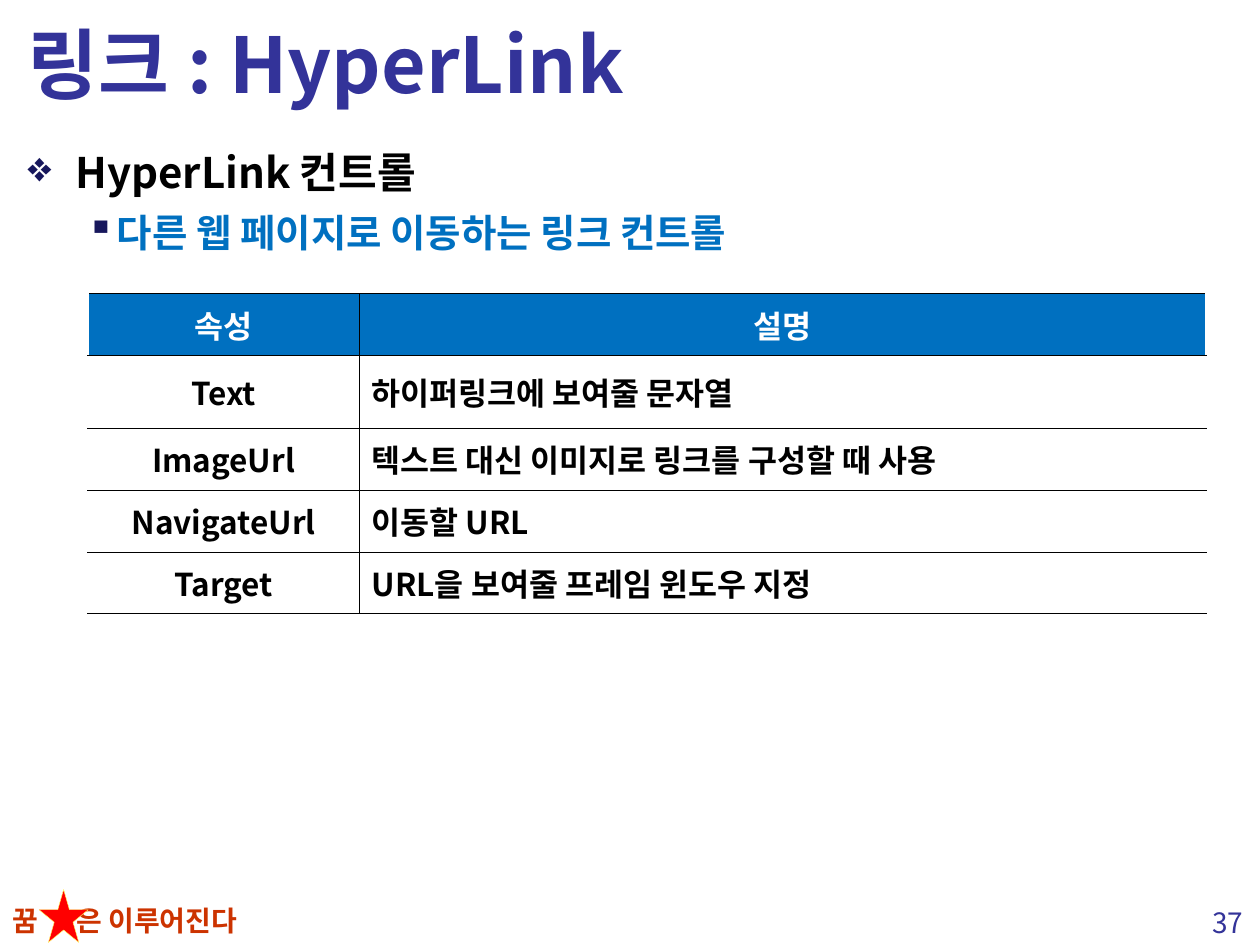
from lxml import etree
from pptx import Presentation
from pptx import util as u
from pptx.dml.color import RGBColor
from pptx.enum import shapes, text
from pptx.oxml import ns

FONT = "Noto Sans CJK KR"
COLORS = {
    "indigo": "333399", "blue": "0070C0", "bullet": "17175C",
    "black": "000000", "white": "FFFFFF", "motto": "CC3300",
    "star": "FF0000", "star_edge": "FFFF66",
}
COLUMN = u.Inches(10) / 100
ROW = u.Inches(7.5) / 75
CENTER = text.PP_ALIGN.CENTER
LEFT = text.PP_ALIGN.LEFT
MIDDLE = text.MSO_ANCHOR.MIDDLE

PROPERTIES = [
    ("속성", "설명"),
    ("Text", "하이퍼링크에 보여줄 문자열"),
    ("ImageUrl", "텍스트 대신 이미지로 링크를 구성할 때 사용"),
    ("NavigateUrl", "이동할 URL"),
    ("Target", "URL을 보여줄 프레임 윈도우 지정"),
]


def grid(left, top, width, height):
    return [u.Emu(round(n * unit)) for n, unit in
            zip((left, top, width, height), (COLUMN, ROW, COLUMN, ROW))]


def rgb(color):
    return RGBColor.from_string(COLORS[color])


def sub(parent, tag, **attributes):
    return etree.SubElement(parent, ns.qn(tag), attributes)


def write(paragraph, words, size, color, bold=True, align=LEFT):
    paragraph.alignment = align
    run = paragraph.add_run()
    run.text = words
    run.font.size = u.Pt(size)
    run.font.bold = bold
    run.font.color.rgb = rgb(color)
    run.font.name = FONT
    sub(run.font._element, "a:ea", typeface=FONT)


def text_area(slide, area, wrap=True):
    frame = slide.shapes.add_textbox(*grid(*area)).text_frame
    frame.word_wrap = wrap
    return frame


def add_title(slide, words):
    title = slide.shapes.title
    title.left, title.top, title.width, title.height = grid(1.2, 0.6, 97.6, 8.8)
    title.text_frame.vertical_anchor = MIDDLE
    write(title.text_frame.paragraphs[0], words, 44, "indigo")


def add_bullet(paragraph, words, mark, size, color, level, margin, hanging):
    paragraph.level = level
    paragraph.line_spacing = 1.1
    paragraph.space_before = u.Pt(size * 0.2)
    write(paragraph, words, size, color)
    properties = paragraph._p.get_or_add_pPr()
    properties.set("marL", str(u.Inches(margin)))
    properties.set("indent", str(-u.Inches(hanging)))
    sub(sub(properties, "a:buClr"), "a:srgbClr", val=COLORS["bullet"])
    sub(properties, "a:buChar", char=mark)


def add_outline(slide):
    frame = text_area(slide, (1.2, 10.7, 97.9, 60.4))
    add_bullet(frame.paragraphs[0], "HyperLink 컨트롤", "❖", 24, "black", 0, 0.38, 0.38)
    add_bullet(frame.add_paragraph(), "다른 웹 페이지로 이동하는 링크 컨트롤",
               "▪", 22, "blue", 1, 0.71, 0.24)


def set_borders(cell, outer_side):
    properties = cell._tc.get_or_add_tcPr()
    for position, side in enumerate("LRTB"):
        color, width = ("white", 1) if side == outer_side else ("black", 0.25)
        line = etree.Element(ns.qn(f"a:ln{side}"), w=str(u.Pt(width)))
        sub(sub(line, "a:solidFill"), "a:srgbClr", val=COLORS[color])
        properties.insert(position, line)


def fill_cell(cell, words, is_header, is_name):
    cell.vertical_anchor = MIDDLE
    if is_header:
        cell.fill.solid()
        cell.fill.fore_color.rgb = rgb("blue")
    else:
        cell.fill.background()
    write(cell.text_frame.paragraphs[0], words, 18,
          "white" if is_header else "black",
          align=CENTER if is_header or is_name else LEFT)
    set_borders(cell, "L" if is_name else "R")


def add_property_table(slide):
    table = slide.shapes.add_table(len(PROPERTIES), 2, *grid(7, 23.3, 88.7, 25.4)).table
    for column, share in zip(table.columns, (21.5, 67.2)):
        column.width = u.Emu(round(share * COLUMN))
    for index, (row, entries) in enumerate(zip(table.rows, PROPERTIES)):
        row.height = u.Emu(round((5.8 if index == 1 else 4.9) * ROW))
        for position, words in enumerate(entries):
            fill_cell(row.cells[position], words, index == 0, position == 0)


def add_footer(slide):
    motto = text_area(slide, (0, 71.2, 24.8, 3.7)).paragraphs[0]
    write(motto, "꿈\t은 이루어진다", 16, "motto")
    stops = sub(motto._p.get_or_add_pPr(), "a:tabLst")
    sub(stops, "a:tab", pos=str(u.Inches(0.51)), algn="l")

    star = slide.shapes.add_shape(shapes.MSO_SHAPE.STAR_5_POINT, *grid(3.1, 70.6, 3.9, 4.2))
    star.shadow.inherit = False
    star.fill.solid()
    star.fill.fore_color.rgb = rgb("star")
    star.line.color.rgb = rgb("star_edge")
    star.line.width = u.Pt(0.25)

    page = text_area(slide, (94.9, 71.4, 5.1, 3.7), wrap=False)
    write(page.paragraphs[0], "37", 16, "indigo", bold=False, align=CENTER)


def main():
    deck = Presentation()
    deck.slide_width, deck.slide_height = u.Inches(10), u.Inches(7.5)
    slide = deck.slides.add_slide(deck.slide_layouts.get_by_name("Title Only"))
    add_footer(slide)
    add_title(slide, "링크 : HyperLink")
    add_outline(slide)
    add_property_table(slide)
    deck.save("out.pptx")


if __name__ == "__main__":
    main()
